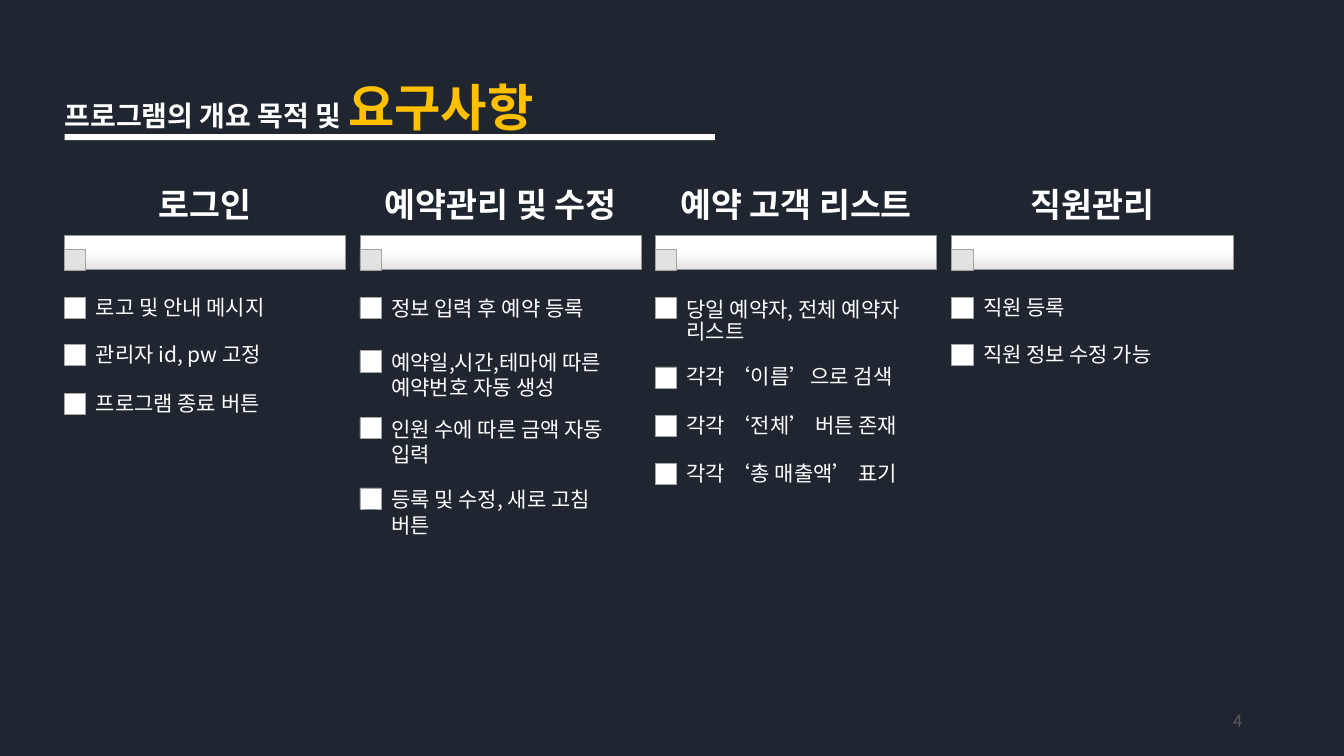
from lxml import etree
from pptx import Presentation
from pptx import util as u
from pptx.dml import color
from pptx.enum import shapes, text
from pptx.oxml import ns

FONT = "Noto Sans CJK KR"
WHITE = "FFFFFF"
SIDE = 21
COLS = [
    ("로그인", 0.9, [
        (295, 1, "로고 및 안내 메시지"),
        (342, 1, "관리자 id, pw 고정"),
        (390, 1, "프로그램 종료 버튼")]),
    ("예약관리 및 수정", 1.0, [
        (295, 1, "정보 입력 후 예약 등록"),
        (348, 2, "예약일,시간,테마에 따른 예약번호 자동 생성"),
        (414, 2, "인원 수에 따른 금액 자동 입력"),
        (484, 2, "등록 및 수정, 새로 고침 버튼")]),
    ("예약 고객 리스트", 0.9, [
        (295, 2, "당일 예약자, 전체 예약자 리스트"),
        (364, 1, "각각 ‘이름’으로 검색"),
        (412, 1, "각각 ‘전체’ 버튼 존재"),
        (460, 1, "각각 ‘총 매출액’ 표기")]),
    ("직원관리", 0.9, [
        (295, 1, "직원 등록"),
        (342, 1, "직원 정보 수정 가능")]),
]


def px(n):
    """Turn px into EMU, at 100 px to the inch."""
    return u.Emu(n * 9144)


def rgb(code):
    """Turn a hex string into a colour."""
    return color.RGBColor.from_string(code)


def add_run(para, words, size, tint=WHITE, bold=False):
    """Add one run with its font set for Latin and Korean letters."""
    run = para.add_run()
    run.text = words
    font = run.font
    font.name, font.size, font.bold = FONT, u.Pt(size), bold
    font.color.rgb = rgb(tint)
    east = etree.SubElement(run._r.get_or_add_rPr(), ns.qn("a:ea"))
    east.set("typeface", FONT)


def add_rect(slide, box, fill=None, line=None):
    """Draw a flat rectangle, with an optional fill and hairline."""
    rect = slide.shapes.add_shape(shapes.MSO_SHAPE.RECTANGLE, *map(px, box))
    rect.shadow.inherit = False
    if fill:
        rect.fill.solid()
        rect.fill.fore_color.rgb = rgb(fill)
    if line:
        rect.line.color.rgb = rgb(line)
        rect.line.width = u.Pt(0.5)
    else:
        rect.line.fill.background()
    return rect


def add_text(slide, box, inset, align):
    """Add a wrapped, middle-anchored text box; return its paragraph."""
    frame = slide.shapes.add_textbox(*map(px, box)).text_frame
    frame.word_wrap = True
    frame.vertical_anchor = text.MSO_ANCHOR.MIDDLE
    frame.margin_left = frame.margin_right = px(inset[0])
    frame.margin_top = frame.margin_bottom = px(inset[1])
    para = frame.paragraphs[0]
    para.alignment = align
    return para


def add_title(slide, left, top):
    """Place the two-tone title and the rule under it."""
    add_rect(slide, (left + 10, top + 63, 645, 6), WHITE)
    title = slide.shapes.title
    title.left, title.top, title.width, title.height = map(
        px, (left, top, 548, 71))
    frame = title.text_frame
    frame.word_wrap = False
    frame.auto_size = text.MSO_AUTO_SIZE.SHAPE_TO_FIT_TEXT
    frame.vertical_anchor = text.MSO_ANCHOR.TOP
    para = frame.paragraphs[0]
    para.alignment = text.PP_ALIGN.LEFT
    add_run(para, "프로그램의 개요 목적 및 ", 20, bold=True)
    add_run(para, "요구사항", 36, "FFC000", True)


def add_bar(slide, left, top, width):
    """Draw the shaded bar with its small grey square."""
    bar = add_rect(slide, (left, top, width, 33), line="969696")
    bar.fill.gradient()
    bar.fill.gradient_angle = 270
    for stop, spot, tint in zip(bar.fill.gradient_stops,
                                (0.5, 1), (WHITE, "E3E3E3")):
        stop.position = spot
        stop.color.rgb = rgb(tint)
    chip = add_rect(slide, (left, top + 13, SIDE, SIDE), "E1E1E1", "A5A5A5")
    tone = chip._element.spPr.find(ns.qn("a:solidFill"))[0]
    etree.SubElement(tone, ns.qn("a:alpha")).set("val", "90000")


def add_col(slide, left, top, width, head, pitch, rows):
    """Place one column: heading, bar and ticked rows."""
    para = add_text(slide, (left, top, width, 59), (5, 3),
                    text.PP_ALIGN.CENTER)
    para.line_spacing = 0.9
    para.space_after = u.Pt(8.4)
    add_run(para, head, 24, bold=True)
    add_bar(slide, left, top + 59, width)
    for y, lines, words in rows:
        add_rect(slide, (left, y, SIDE, SIDE), WHITE, "A5A5A5")
        rise = 13 if lines == 1 else 0
        para = add_text(slide, (left + 19, y - rise, width - 19, 48),
                        (12, 12), text.PP_ALIGN.LEFT)
        para.line_spacing = pitch
        para.space_after = u.Pt(5.25)
        add_run(para, words, 15)


def main():
    """Build the slide and save it."""
    deck = Presentation()
    deck.slide_width, deck.slide_height = px(1333), px(750)
    slide = deck.slides.add_slide(deck.slide_layouts[5])
    slide.background.fill.solid()
    slide.background.fill.fore_color.rgb = rgb("1F2630")
    add_title(slide, 54, 70)
    for i, col in enumerate(COLS):
        add_col(slide, 64 + i * 880 // 3, 175, 279, *col)
    para = add_text(slide, (942, 695, 300, 40), (10, 5), text.PP_ALIGN.RIGHT)
    add_run(para, "4", 12, "595959")
    deck.save("out.pptx")


if __name__ == "__main__":
    main()
